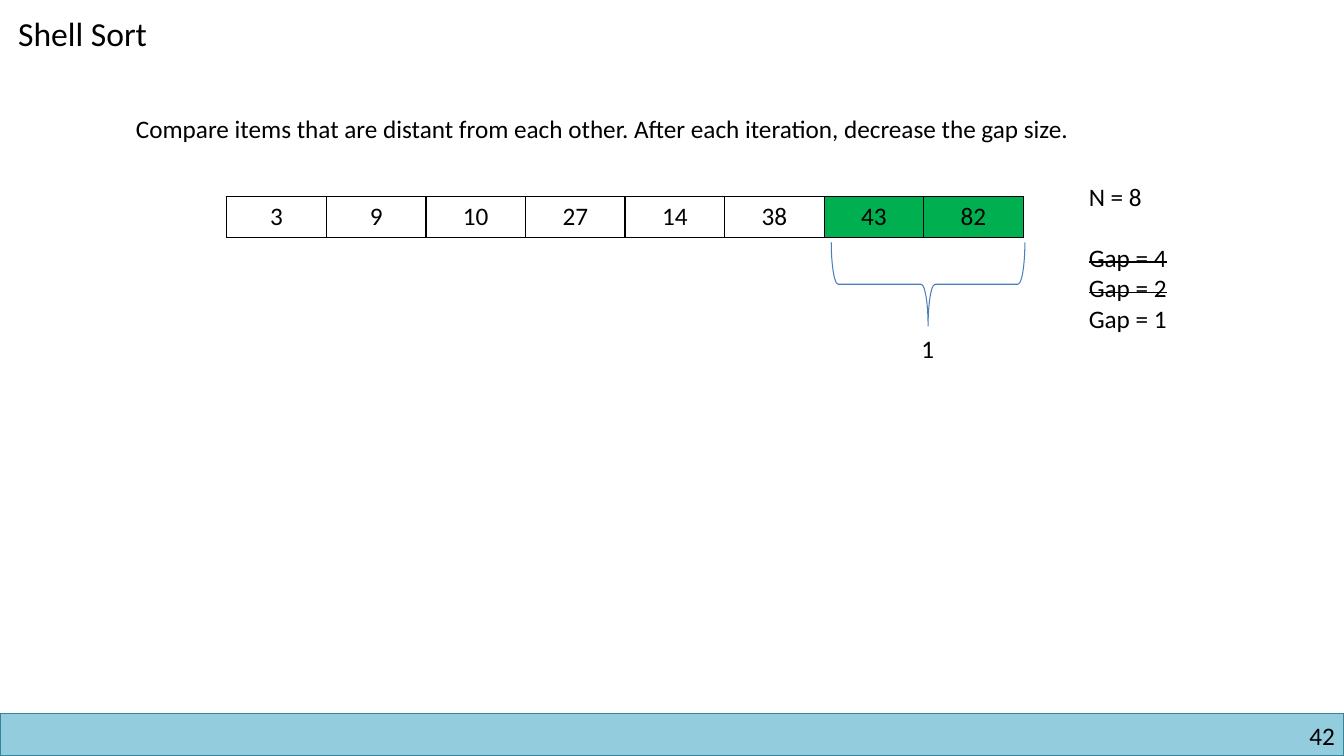
"""Build the Shell Sort slide showing the final gap-1 comparison."""
from lxml import etree
from pptx import Presentation
from pptx.dml.color import RGBColor
from pptx.enum.shapes import MSO_SHAPE as Shape
from pptx.enum.text import MSO_ANCHOR as Anchor, PP_ALIGN as Align
from pptx.oxml.ns import qn
from pptx.util import Inches, Pt

BLACK = RGBColor(0x00, 0x00, 0x00)
WHITE = RGBColor(0xFF, 0xFF, 0xFF)
GREEN = RGBColor(0x00, 0xB0, 0x50)
FOOTER_FILL = RGBColor(0x93, 0xCD, 0xDD)
FOOTER_LINE = RGBColor(0x31, 0x85, 0x9C)
BRACE_LINE = RGBColor(0x4B, 0x7E, 0xBC)

TITLE = "Shell Sort"
EXPLANATION = ("Compare items that are distant from each other. "
               "After each iteration, decrease the gap size.")
VALUES = [3, 9, 10, 27, 14, 38, 43, 82]
COMPARED = {6, 7}
STATUS = ["N = 8", "Gap = 4", "Gap = 2", "Gap = 1"]
FINISHED_GAPS = {1, 2}
CURRENT_GAP = "1"
SLIDE_NUMBER = "42"


def write(text_frame, lines, size=18, align=Align.LEFT):
    text_frame.text = "\n".join(lines)
    for paragraph in text_frame.paragraphs:
        paragraph.alignment = align
        for run in paragraph.runs:
            run.font.name = "Calibri"
            run.font.size = Pt(size)
            run.font.color.rgb = BLACK


def add_text(slide, box, lines, wrap=False, align=Align.LEFT):
    text_frame = slide.shapes.add_textbox(*map(Inches, box)).text_frame
    text_frame.word_wrap = wrap
    write(text_frame, lines, align=align)
    return text_frame


def add_borders(cell):
    properties = cell._tc.get_or_add_tcPr()
    for side in ("a:lnL", "a:lnR", "a:lnT", "a:lnB"):
        line = etree.SubElement(properties, qn(side), w=str(Pt(1)))
        fill = etree.SubElement(line, qn("a:solidFill"))
        etree.SubElement(fill, qn("a:srgbClr"), val=str(BLACK))


def add_array(slide):
    width = Inches(7.9)
    table = slide.shapes.add_table(
        1, len(VALUES), Inches(2.25), Inches(1.95), width, Inches(0.41)).table
    for index, value in enumerate(VALUES):
        table.columns[index].width = width // len(VALUES)
        cell = table.cell(0, index)
        add_borders(cell)
        cell.fill.solid()
        cell.fill.fore_color.rgb = GREEN if index in COMPARED else WHITE
        write(cell.text_frame, [str(value)], align=Align.CENTER)


def add_outlined(slide, kind, box, color, width):
    shape = slide.shapes.add_shape(kind, *map(Inches, box))
    shape.shadow.inherit = False
    shape.line.color.rgb = color
    shape.line.width = Pt(width)
    return shape


def main():
    presentation = Presentation()
    presentation.slide_width = Inches(13.33)
    presentation.slide_height = Inches(7.5)
    slide = presentation.slides.add_slide(presentation.slide_layouts[5])

    footer = add_outlined(slide, Shape.RECTANGLE, (0, 7.08, 13.33, 0.42), FOOTER_LINE, 1)
    footer.fill.solid()
    footer.fill.fore_color.rgb = FOOTER_FILL
    number = add_text(slide, (10.17, 7.15, 3.07, 0.3), [SLIDE_NUMBER], True, Align.RIGHT)
    number.margin_left = number.margin_right = 0
    number.margin_top = number.margin_bottom = 0

    title = slide.shapes.title
    title.left, title.top, title.width, title.height = map(Inches, (0.08, 0.08, 1.66, 0.5))
    title.text_frame.word_wrap = False
    title.text_frame.vertical_anchor = Anchor.TOP
    write(title.text_frame, [TITLE], size=24)

    add_text(slide, (1.25, 1.08, 10.36, 0.4), [EXPLANATION])
    add_array(slide)

    status = add_text(slide, (10.7, 1.75, 1.11, 1.62), STATUS)
    status.paragraphs[1].space_before = Pt(22)
    for index in FINISHED_GAPS:
        for run in status.paragraphs[index].runs:
            run._r.get_or_add_rPr().set("strike", "sngStrike")

    brace = add_outlined(slide, Shape.LEFT_BRACE, (8.79, 1.86, 0.83, 1.92), BRACE_LINE, 0.75)
    brace.fill.background()
    brace.rotation = 270
    add_text(slide, (9.04, 3.26, 0.34, 0.4), [CURRENT_GAP])

    presentation.save("out.pptx")


if __name__ == "__main__":
    main()
